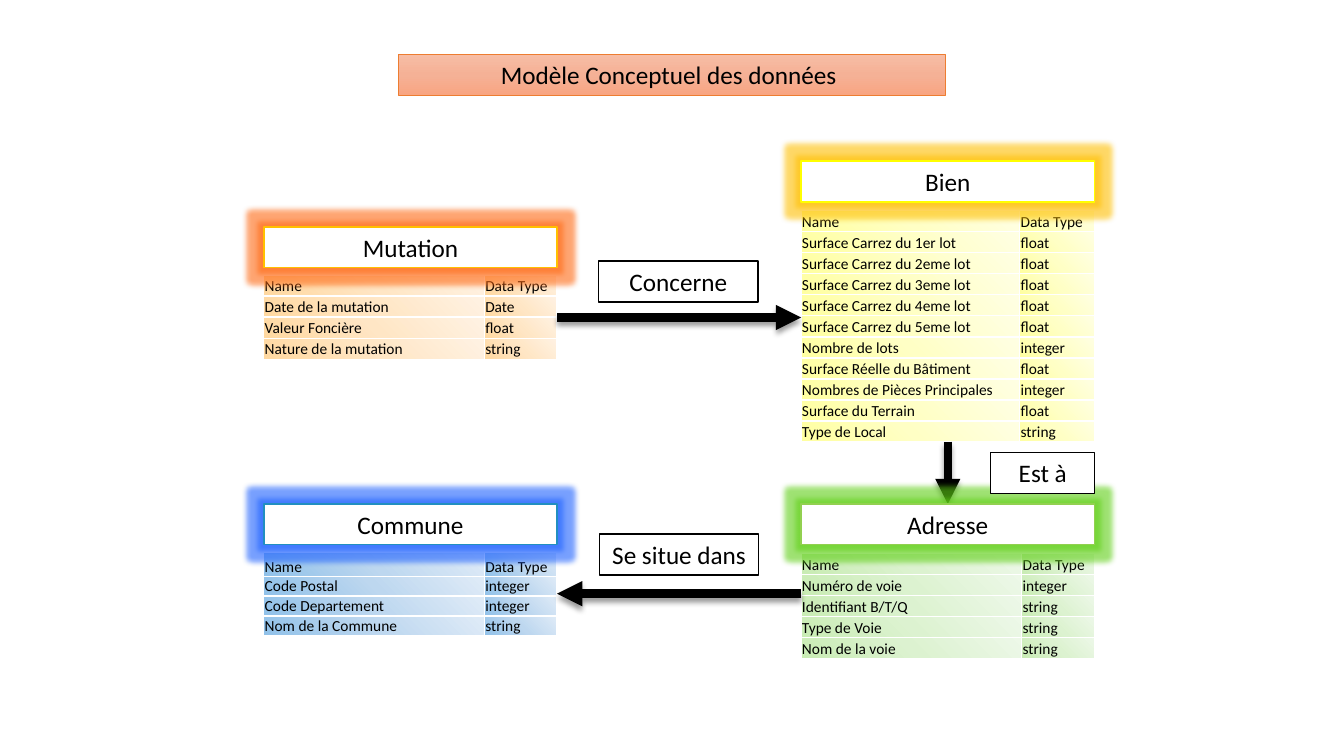
"""Build the conceptual data model slide: four entities and their relations."""
import pptx
import pptx.dml.color
import pptx.enum.shapes
import pptx.enum.text
import pptx.oxml
import pptx.oxml.ns
import pptx.util

Cm = pptx.util.Cm
Pt = pptx.util.Pt

COLOURS = {
    "black": "000000", "white": "FFFFFF", "title": "ED7D31",
    "Mutation": "FFC000", "Bien": "FFFF00", "Adresse": "92D050", "Commune": "228FC0",
}
GLOWS = {"Mutation": "FF6A14", "Bien": "FFC000", "Adresse": "5FD016", "Commune": "1F62FF"}
GRADIENTS = {
    "title": ("F7BDA5", "F5B196", "F8A582"),
    "Mutation": ("FFD8A0", "FFE6C5", "FFF2E3"),
    "Bien": ("FFFFA0", "FFFFC5", "FFFFE3"),
    "Adresse": ("C9ECB4", "DCF2D0", "EDF8E8"),
    "Commune": ("90C1E9", "BDD7EF", "DFEBF7"),
}
LEFT, RIGHT, ENTITY_WIDTH, BOX_HEIGHT = 6.65, 20.19, 7.39, 1.03
LEFT_EDGE = LEFT + ENTITY_WIDTH

ENTITIES = {
    "Mutation": dict(left=LEFT, header_top=5.72, table_top=6.93, type_width=1.83, heights=(0.53, 0.53), rows=[
        ("Date de la mutation", "Date"), ("Valeur Foncière", "float"),
        ("Nature de la mutation", "string")]),
    "Bien": dict(left=RIGHT, header_top=4.06, table_top=5.31, type_width=1.88, heights=(0.53, 0.53), rows=[
        *((f"Surface Carrez du {lot} lot", "float") for lot in ("1er", "2eme", "3eme", "4eme", "5eme")),
        ("Nombre de lots", "integer"), ("Surface Réelle du Bâtiment", "float"),
        ("Nombres de Pièces Principales", "integer"), ("Surface du Terrain", "float"),
        ("Type de Local", "string")]),
    "Adresse": dict(left=RIGHT, header_top=12.7, table_top=13.94, type_width=1.83, heights=(0.53, 0.53), rows=[
        ("Numéro de voie", "integer"), ("Identifiant B/T/Q", "string"),
        ("Type de Voie", "string"), ("Nom de la voie", "string")]),
    "Commune": dict(left=LEFT, header_top=12.7, table_top=13.92, type_width=1.83, heights=(0.6, 0.5), rows=[
        ("Code Postal", "integer"), ("Code Departement", "integer"),
        ("Nom de la Commune", "string")]),
}
LABELS = [("Concerne", 15.09, 6.58, 4.01), ("Est à", 24.97, 11.4, 2.62), ("Se situe dans", 15.11, 13.46, 4.01)]


def element(tag, content="", attributes=""):
    namespace = pptx.oxml.ns.nsdecls("a")
    return pptx.oxml.parse_xml(f"<a:{tag} {namespace} {attributes}>{content}</a:{tag}>")


def gradient(stops, angle):
    marks = "".join(f'<a:gs pos="{50000 * place}"><a:srgbClr val="{stop}"/></a:gs>'
                    for place, stop in enumerate(stops))
    return element("gradFill", f'<a:gsLst>{marks}</a:gsLst><a:lin ang="{angle * 60000}" scaled="0"/>',
                   'rotWithShape="1"')


def translucent(colour, percent):
    return f'<a:srgbClr val="{colour}"><a:alpha val="{percent * 1000}"/></a:srgbClr>'


def rgb(colour):
    return pptx.dml.color.RGBColor.from_string(colour)


class ModelSlide:
    """Hold the slide and the style of its boxes, tables and arrows."""

    def __init__(self, slide, font="Calibri"):
        self.shapes = slide.shapes
        self.font = font

    def style(self, para, size):
        for span in para.runs:
            span.font.name, span.font.size, span.font.bold = self.font, Pt(size), False
            span.font.color.rgb = rgb(COLOURS["black"])

    def box(self, text, left, top, width, line="black", weight=1):
        box = self.shapes.add_shape(pptx.enum.shapes.MSO_SHAPE.RECTANGLE,
                                    Cm(left), Cm(top), Cm(width), Cm(BOX_HEIGHT))
        box.shadow.inherit = False
        box.fill.solid()
        box.fill.fore_color.rgb = rgb(COLOURS["white"])
        box.line.color.rgb = rgb(COLOURS[line])
        box.line.width = Pt(weight)
        box.text_frame.word_wrap = True
        box.text_frame.text = text
        para = box.text_frame.paragraphs[0]
        para.alignment = pptx.enum.text.PP_ALIGN.CENTER
        self.style(para, 18)
        return box

    def title(self, text):
        box = self.box(text, 10.03, 1.37, 13.79, "title", 0.5)
        box.fill.background()
        properties = box.element.spPr
        blank = properties.find(pptx.oxml.ns.qn("a:noFill"))
        properties.replace(blank, gradient(GRADIENTS["title"], 90))

    def header(self, name):
        entity = ENTITIES[name]
        box = self.box(name, entity["left"], entity["header_top"], ENTITY_WIDTH, name)
        effects = box.element.spPr.find(pptx.oxml.ns.qn("a:effectLst"))
        effects.append(element("glow", translucent(GLOWS[name], 60), f'rad="{Pt(8)}"'))
        return box

    def table(self, name):
        entity = ENTITIES[name]
        rows = [("Name", "Data Type"), *entity["rows"]]
        first, other = entity["heights"]
        heights = [first] + [other] * len(entity["rows"])
        table = self.shapes.add_table(len(rows), 2, Cm(entity["left"]), Cm(entity["table_top"]),
                                      Cm(ENTITY_WIDTH), Cm(sum(heights))).table
        table.first_row = table.horz_banding = False
        table.columns[0].width = Cm(ENTITY_WIDTH - entity["type_width"])
        table.columns[1].width = Cm(entity["type_width"])
        for row, height, texts in zip(table.rows, heights, rows):
            row.height = Cm(height)
            for cell, text in zip(row.cells, texts):
                self.cell(cell, text, GRADIENTS[name])

    def cell(self, cell, text, stops):
        cell.text_frame.text = text
        self.style(cell.text_frame.paragraphs[0], 11)
        cell.margin_left = cell.margin_right = cell.margin_top = Cm(0.02)
        cell.margin_bottom = 0
        cell.vertical_anchor = pptx.enum.text.MSO_ANCHOR.BOTTOM
        properties = cell._tc.get_or_add_tcPr()
        for side in "LRTB":
            properties.append(element(f"ln{side}", f'<a:solidFill><a:srgbClr val="{COLOURS["white"]}"/></a:solidFill>',
                                      f'w="{Pt(1)}"'))
        properties.append(gradient(stops, 315))

    def arrow(self, *ends):
        arrow = self.shapes.add_connector(pptx.enum.shapes.MSO_CONNECTOR.STRAIGHT, *map(Cm, ends))
        arrow.line.color.rgb = rgb(COLOURS["black"])
        arrow.line.width = Pt(6)
        properties = arrow.element.spPr
        properties.find(pptx.oxml.ns.qn("a:ln")).append(element("tailEnd", attributes='type="triangle"'))
        shadow = (f'<a:outerShdw blurRad="{Pt(4)}" dist="{Pt(3)}" dir="5400000" rotWithShape="0">'
                  f'{translucent(COLOURS["black"], 40)}</a:outerShdw>')
        properties.append(element("effectLst", shadow))
        return arrow


def main():
    deck = pptx.Presentation()
    deck.slide_width, deck.slide_height = Cm(33.87), Cm(19.05)
    page = ModelSlide(deck.slides.add_slide(deck.slide_layouts[6]))
    for name in ENTITIES:
        page.table(name)
    page.title("Modèle Conceptuel des données ")
    page.arrow(LEFT_EDGE, 8, RIGHT, 8)
    page.arrow(RIGHT, 14.96, LEFT_EDGE, 14.96)
    middle = RIGHT + ENTITY_WIDTH / 2
    address_arrow = page.arrow(middle, 11.13, middle, 12.7)
    headers = {name: page.header(name) for name in ENTITIES}
    address_arrow.end_connect(headers["Adresse"], 0)
    for label in LABELS:
        page.box(*label)
    deck.save("out.pptx")


if __name__ == "__main__":
    main()
